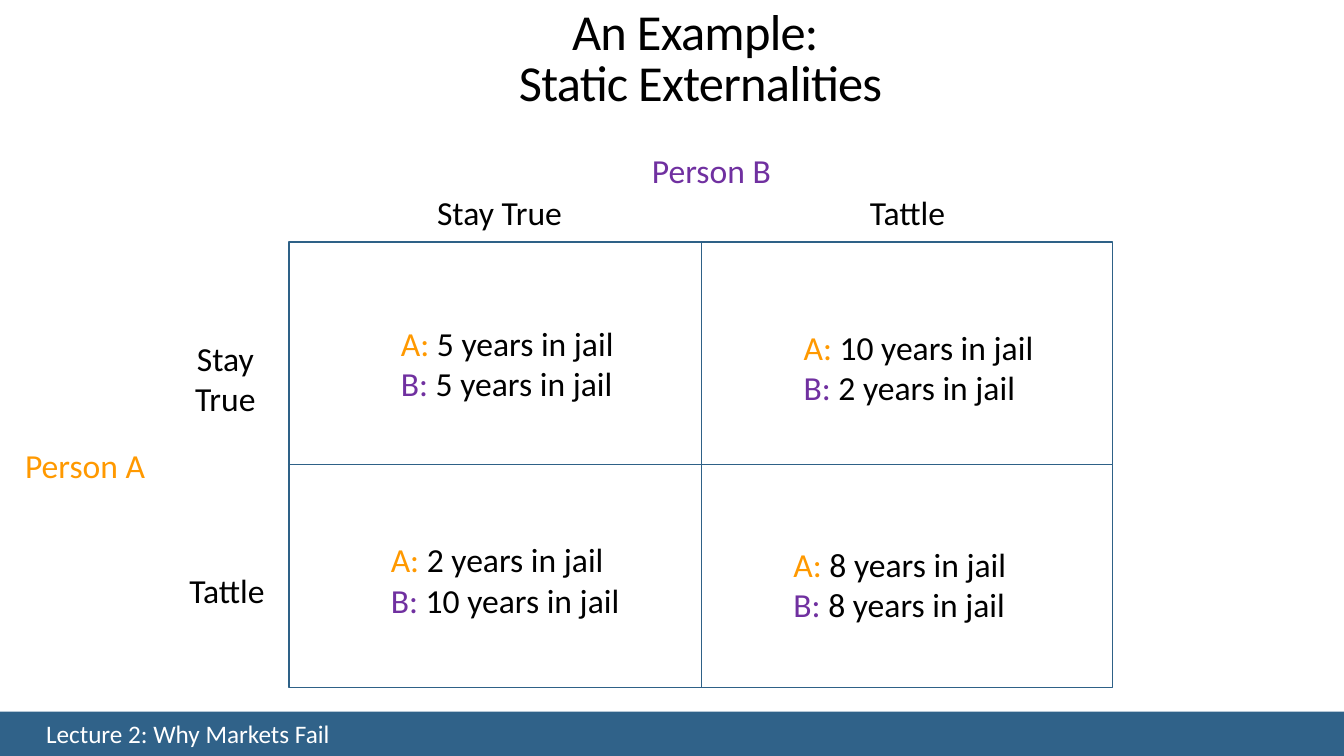
from lxml.etree import SubElement
from pptx import Presentation
from pptx.dml.color import RGBColor
from pptx.enum.shapes import MSO_CONNECTOR, MSO_SHAPE
from pptx.enum.text import MSO_ANCHOR, MSO_AUTO_SIZE, PP_ALIGN
from pptx.oxml.ns import qn
from pptx.util import Pt

BLACK, WHITE = "000000", "FFFFFF"
ORANGE, PURPLE = "FF9900", "7030A0"
BAR_BLUE, GRID_BLUE = "306289", "2E6187"
SLIDE_WIDTH, SLIDE_HEIGHT = 960, 540


def paint(color_holder, color):
    if hasattr(color_holder, "solid"):
        color_holder.solid()
        color_holder = color_holder.fore_color
    else:
        color_holder = color_holder.color
    color_holder.rgb = RGBColor.from_string(color)


def format_run(run, size, color):
    run.font.name = "Calibri"
    run.font.size = Pt(size)
    paint(run.font, color)


def add_text(shapes, box, lines, size=24, align=PP_ALIGN.LEFT, level=1):
    label = shapes.add_textbox(*map(Pt, box))
    frame = label.text_frame
    frame.word_wrap = True
    frame.auto_size = MSO_AUTO_SIZE.SHAPE_TO_FIT_TEXT
    for index, line in enumerate(lines):
        paragraph = frame.add_paragraph() if index else frame.paragraphs[0]
        paragraph.alignment = align
        paragraph.level = level
        for text, color in line:
            run = paragraph.add_run()
            run.text = text
            format_run(run, size, color)
    return label


def add_footer(slide, left, top, width, height):
    bar = slide.shapes.add_shape(
        MSO_SHAPE.RECTANGLE, *map(Pt, (left, top, width, height)))
    bar.shadow.inherit = False
    paint(bar.fill, BAR_BLUE)
    bar.line.fill.background()
    lecture = add_text(
        slide.shapes, (left + 5, top + 4.3, 258.5, 23),
        [[("Lecture 2: Why Markets Fail", WHITE)]], 18, PP_ALIGN.CENTER, 0)
    lecture.text_frame.auto_size = MSO_AUTO_SIZE.NONE
    lecture.text_frame.vertical_anchor = MSO_ANCHOR.MIDDLE


def add_title(slide, left, top, width, height):
    title = slide.shapes.title
    title.left, title.top, title.width, title.height = map(
        Pt, (left, top, width, height))
    frame = title.text_frame
    frame.text = "An Example: \vStatic Externalities"
    frame.auto_size = MSO_AUTO_SIZE.NONE
    frame.vertical_anchor = MSO_ANCHOR.BOTTOM
    heading = frame.paragraphs[0]
    heading.alignment = PP_ALIGN.CENTER
    heading.line_spacing = 0.85
    heading.font.size = Pt(36)
    for run in heading.runs:
        format_run(run, 36, BLACK)
        run.font._element.set("spc", "-50")


def add_grid(slide, left, top, width, height):
    grid = slide.shapes.add_group_shape().shapes
    border = grid.add_shape(
        MSO_SHAPE.RECTANGLE, *map(Pt, (left, top, width, height)))
    border.shadow.inherit = False
    border.fill.background()
    paint(border.line.fill, GRID_BLUE)
    border.line.width = Pt(1)
    middle_x, middle_y = left + width / 2, top + height / 2
    for ends in ((middle_x, top, middle_x, top + height),
                 (left, middle_y, left + width, middle_y)):
        divider = grid.add_connector(MSO_CONNECTOR.STRAIGHT, *map(Pt, ends))
        paint(divider.line.fill, GRID_BLUE)
        divider.line.width = Pt(0.5)
        SubElement(divider._element.spPr, qn("a:effectLst"))


def add_payoff_matrix(slide, left, top, width, height):
    add_grid(slide, left, top, width, height)

    labels = [
        ("Person A ", ORANGE, -231.8, 141.1, 155.5, 36, PP_ALIGN.LEFT),
        ("Person B ", PURPLE, 216, -69.1, 155.5, 36, PP_ALIGN.LEFT),
        ("Stay True", BLACK, -114.4, 64.8, 101.5, 65.5, PP_ALIGN.CENTER),
        ("Tattle", BLACK, -114.4, 230.4, 112.3, 36, PP_ALIGN.LEFT),
        ("Stay True", BLACK, 48.3, -39.6, 167.8, 36, PP_ALIGN.CENTER),
        ("Tattle", BLACK, 371.6, -39.6, 112.3, 36, PP_ALIGN.LEFT),
    ]
    for text, color, x, y, label_width, label_height, align in labels:
        add_text(slide.shapes, (left + x, top + y, label_width, label_height),
                 [[(text, color)]], align=align)

    sentences = [[(5, 5, 204.5), (10, 2, 226.8)],
                 [(2, 10, 220.3), (8, 8, 204.5)]]
    for row, outcomes in enumerate(sentences):
        for column, (years_a, years_b, text_width) in enumerate(outcomes):
            x = left + column * width / 2 + 36.7 - 7.2 * row - 6.5 * column
            y = top + row * height / 2 + 54 - 4.3 * row + 2.9 * column
            add_text(slide.shapes, (x, y, text_width, 65.5), [
                [(person, color), (f"{years} years in jail", BLACK)]
                for person, color, years in (("A: ", ORANGE, years_a),
                                             ("B: ", PURPLE, years_b))])


presentation = Presentation()
presentation.slide_width = Pt(SLIDE_WIDTH)
presentation.slide_height = Pt(SLIDE_HEIGHT)
slide = presentation.slides.add_slide(presentation.slide_layouts[5])
add_footer(slide, 0, 508.3, SLIDE_WIDTH, SLIDE_HEIGHT - 508.3)
add_title(slide, 243.4, 20.9, 514, 62.6)
add_payoff_matrix(slide, 206.6, 172.8, 588.2, 318.4)
presentation.save("out.pptx")
